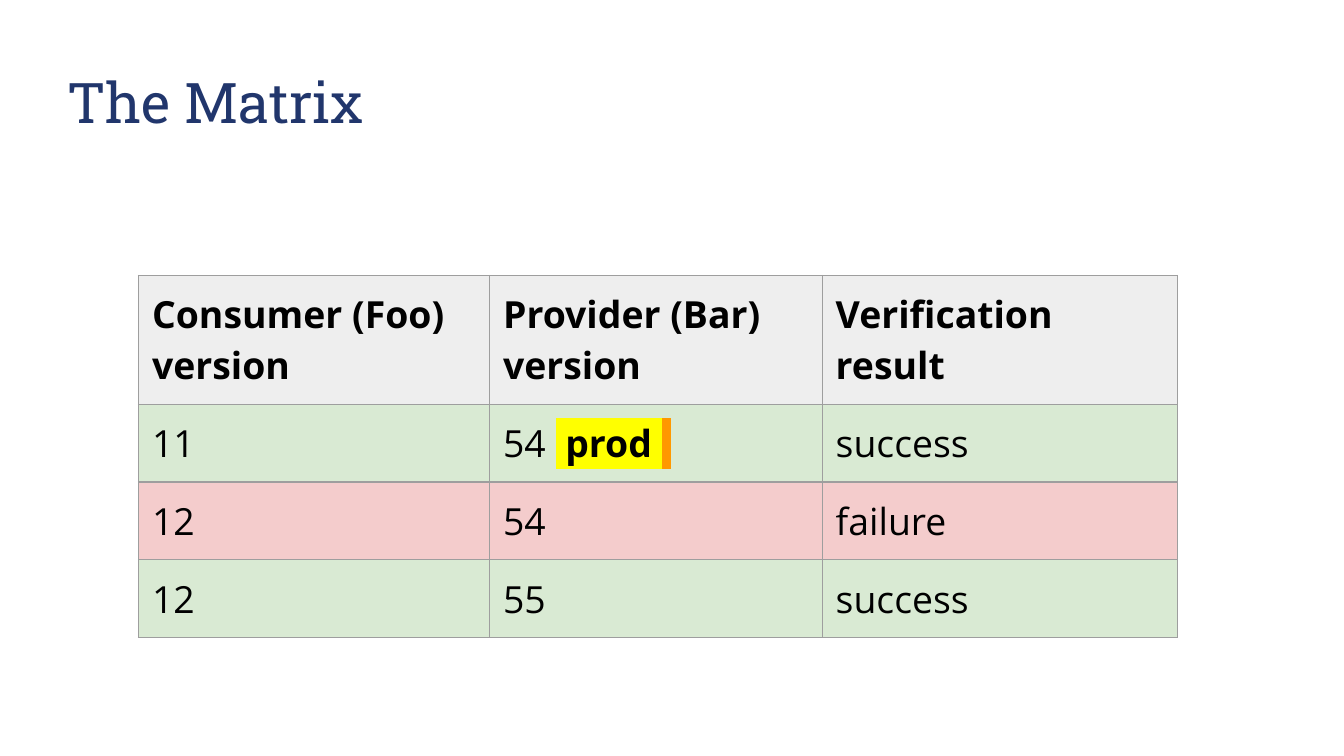
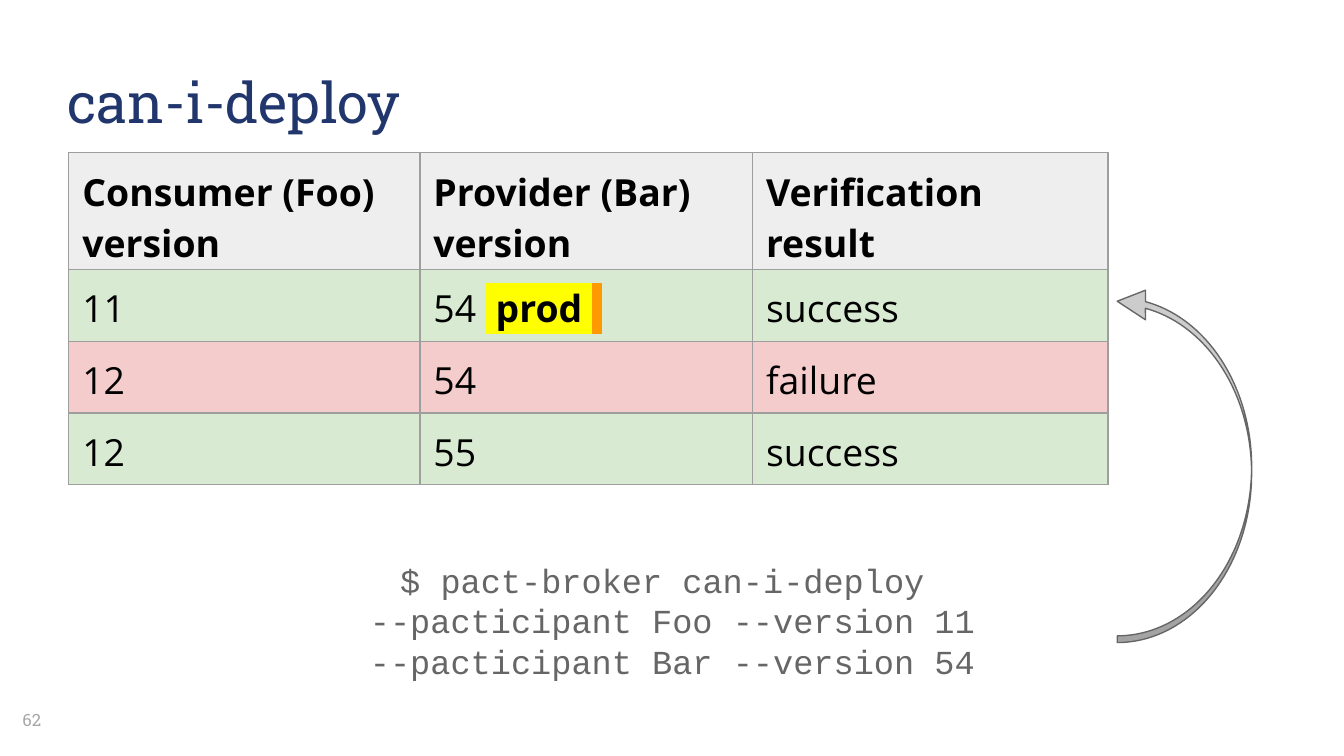
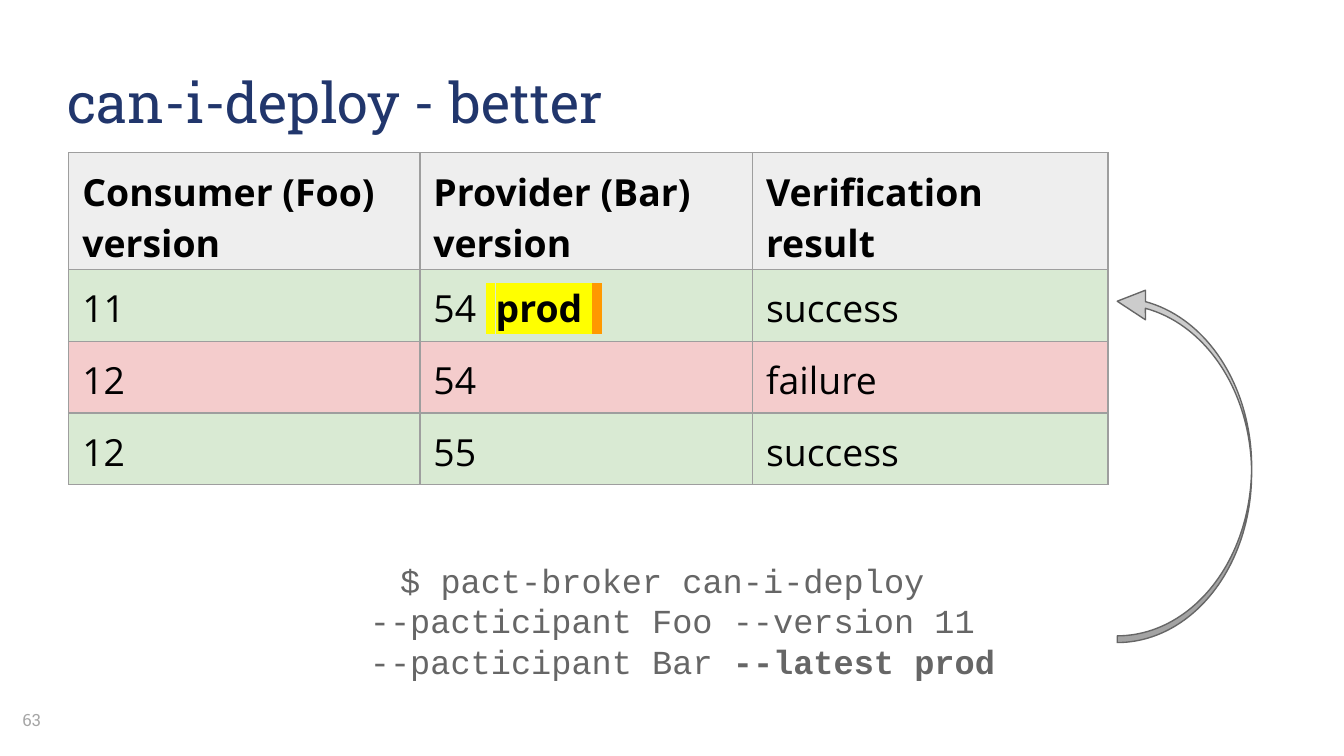
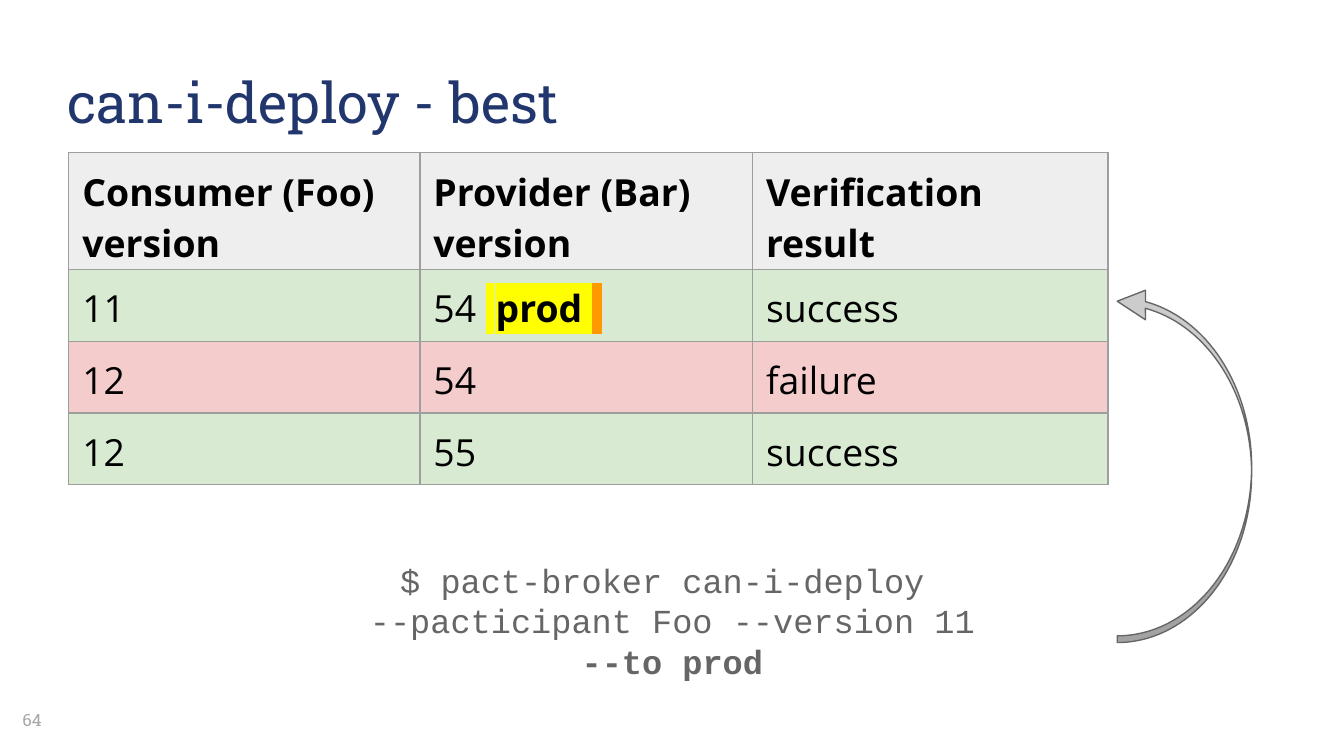
from lxml import etree
from pptx import Presentation
from pptx.dml.color import RGBColor
from pptx.enum import shapes, text
from pptx.oxml import ns
from pptx.util import Pt

PX = 5715  # 160 px to the inch
PAD = 16
NAVY, GREY, PALE, BLACK = "21366C", "666666", "A6A6A6", "000000"
HEAD, PASS, FAIL, RULE = "EEEEEE", "D9EAD3", "F4CCCC", "9E9E9E"
YELLOW, ORANGE, SILVER = "FFFF00", "FF9900", "CCCCCC"
SLAB, SANS, MONO = "Roboto Slab", "Open Sans", "Courier New"
MIDDLE, TOP = text.MSO_ANCHOR.MIDDLE, text.MSO_ANCHOR.TOP

COLS = (418, 396, 423)
ROWS = (112, 69, 69, 69)
HEADS = ("Consumer (Foo)\nversion", "Provider (Bar)\nversion",
         "Verification\nresult")
RESULTS = (("11", "54 ", "success"),
           ("12", "54", "failure"),
           ("12", "55", "success"))
# Runs that mark a version as the one in production: words, bold, highlight
TAG = ((" ", False, YELLOW), ("prod ", True, YELLOW), (" ", False, ORANGE))

START = ("$ pact-broker can-i-deploy ", "")
FOO = ("--pacticipant Foo --version 11", "")
DEPLOYS = (
    ("can-i-deploy", ("--pacticipant Bar --version 54", "")),
    ("can-i-deploy - better", (" --pacticipant Bar ", "--latest prod")),
    ("can-i-deploy - best", ("", "--to prod")),
)
FIRST = 62


def rgb(code):
    return RGBColor.from_string(code)


def emu(*sizes):
    return [size * PX for size in sizes]


def style(run, face, size, color, bold=False):
    font = run.font
    font.name, font.size, font.bold = face, Pt(size), bold
    font.color.rgb = rgb(color)


def style_all(frame, *look):
    for para in frame.paragraphs:
        for run in para.runs:
            style(run, *look)


def inset(frame, anchor=MIDDLE):
    """Give a text frame or a table cell the shared margins."""
    frame.margin_left = frame.margin_right = PAD * PX
    frame.margin_top = frame.margin_bottom = PAD * PX
    frame.vertical_anchor = anchor


def mark(run, color):
    """Highlight a run whose text colour is already set."""
    light = etree.Element(ns.qn("a:highlight"))
    etree.SubElement(light, ns.qn("a:srgbClr"), val=color)
    run.font._element.find(ns.qn("a:solidFill")).addnext(light)


def rule(cell):
    props = cell._tc.get_or_add_tcPr()
    for side in ("lnL", "lnR", "lnT", "lnB"):
        line = etree.SubElement(props, ns.qn("a:" + side), w=str(Pt(0.75)))
        fill = etree.SubElement(line, ns.qn("a:solidFill"))
        etree.SubElement(fill, ns.qn("a:srgbClr"), val=RULE)


def add_slide(deck, words):
    slide = deck.slides.add_slide(deck.slide_layouts[5])
    title = slide.shapes.title
    title.left, title.top, title.width, title.height = emu(64, 10, 1400, 221)
    frame = title.text_frame
    frame.text = words
    frame.auto_size = text.MSO_AUTO_SIZE.NONE
    inset(frame)
    frame.paragraphs[0].alignment = text.PP_ALIGN.LEFT
    style_all(frame, SLAB, 30, NAVY)
    return slide


def add_box(slide, *box):
    frame = slide.shapes.add_textbox(*emu(*box)).text_frame
    frame.word_wrap = True
    inset(frame)
    return frame


def add_matrix(slide, left, top):
    grid = slide.shapes.add_table(
        len(ROWS), len(COLS),
        *emu(left, top, sum(COLS), sum(ROWS))).table
    grid.first_row = grid.horz_banding = False
    for col, width in zip(grid.columns, COLS):
        col.width = width * PX
    for row, height in zip(grid.rows, ROWS):
        row.height = height * PX
    for r, words in enumerate((HEADS, *RESULTS)):
        head = r == 0
        fill = HEAD if head else PASS if words[-1] == "success" else FAIL
        for c, word in enumerate(words):
            cell = grid.cell(r, c)
            cell.text_frame.text = word
            inset(cell, MIDDLE if head else TOP)
            style_all(cell.text_frame, SANS, 20, BLACK, head)
            rule(cell)
            cell.fill.solid()
            cell.fill.fore_color.rgb = rgb(fill)
    para = grid.cell(1, 1).text_frame.paragraphs[0]
    for word, bold, color in TAG:
        run = para.add_run()
        run.text = word
        style(run, SANS, 20, BLACK, bold)
        mark(run, color)


def add_command(slide, lines, *box):
    frame = add_box(slide, *box)
    for i, parts in enumerate(lines):
        para = frame.add_paragraph() if i else frame.paragraphs[0]
        para.alignment = text.PP_ALIGN.CENTER
        for bold, part in enumerate(parts):
            if part:
                run = para.add_run()
                run.text = part
                style(run, MONO, 18, GREY, bool(bold))


def add_arrow(slide, *box):
    arrow = slide.shapes.add_shape(
        shapes.MSO_SHAPE.CURVED_RIGHT_ARROW, *emu(*box))
    arrow.rotation = 180
    for i, value in enumerate((0.05, 0.22, 0.21)):
        arrow.adjustments[i] = value
    arrow.shadow.inherit = False
    arrow.fill.solid()
    arrow.fill.fore_color.rgb = rgb(SILVER)
    arrow.line.color.rgb = rgb(GREY)
    arrow.line.width = Pt(0.75)


def add_number(slide, number):
    frame = add_box(slide, 11, 822, 96, 69)
    frame.text = str(number)
    style_all(frame, SLAB, 9, PALE)


def add_deploy(deck, number, title, last):
    slide = add_slide(deck, title)
    add_number(slide, number)
    add_matrix(slide, 82, 182)
    add_command(slide, (START, FOO, last), 82, 640, 1437, 197)
    add_arrow(slide, 1330, 341, 160, 424)


def main():
    deck = Presentation()
    deck.slide_width, deck.slide_height = emu(1600, 900)
    add_matrix(add_slide(deck, "The Matrix"), 165, 328)
    for number, (title, last) in enumerate(DEPLOYS, FIRST):
        add_deploy(deck, number, title, last)
    deck.save("out.pptx")


if __name__ == "__main__":
    main()
